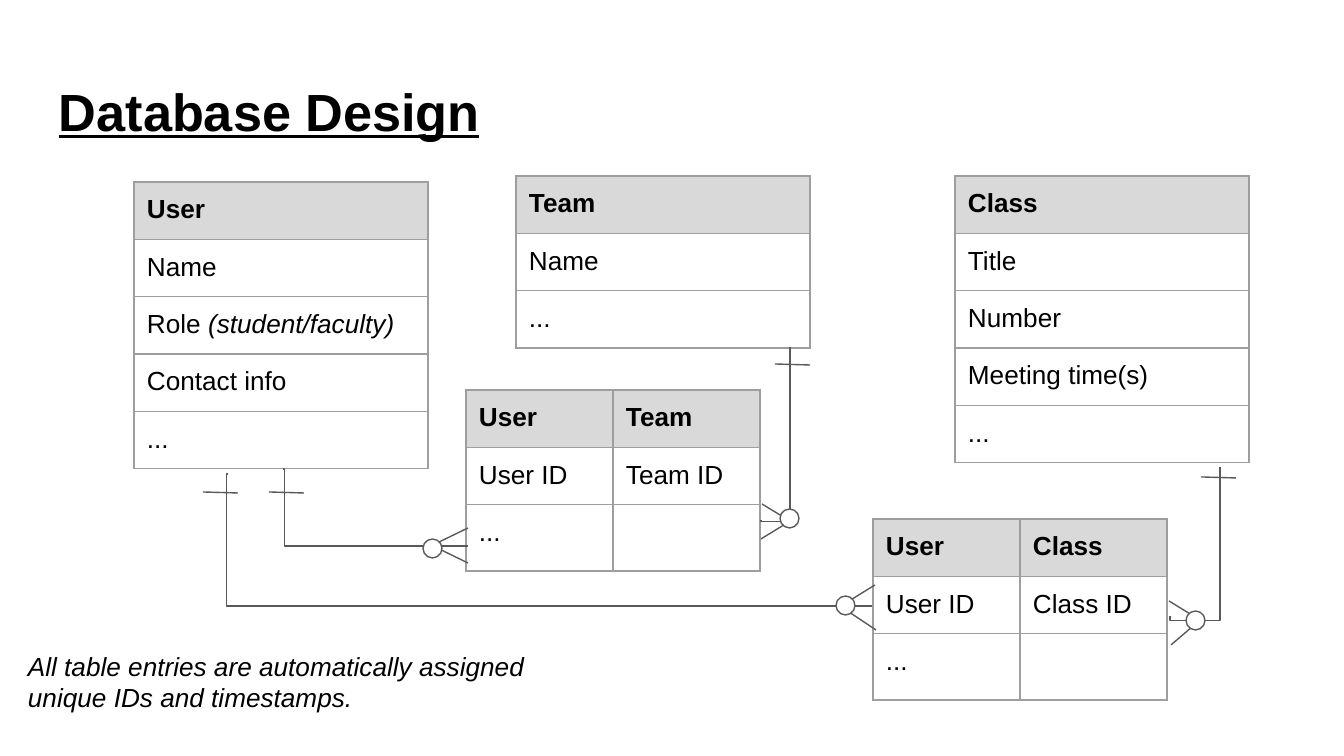
from lxml.etree import SubElement
from pptx import Presentation
from pptx.dml.color import RGBColor
from pptx.enum.shapes import MSO_CONNECTOR, MSO_SHAPE
from pptx.oxml.ns import qn
from pptx.util import Pt

SCALE = 914400 / 134.4
TABLE_WIDTH, ROW_HEIGHT, INSET = 294, 56, 13
TICK_WIDTH, RING_SIZE = 35, 19
BLACK, WHITE, HEADER, BORDER, LINE = "000000", "FFFFFF", "D9D9D9", "9E9E9E", "595959"

TITLE = ["Database Design"]
NOTE = ["All table entries are automatically assigned", "unique IDs and timestamps."]
ENTITIES = [
    ((134, 182), [["User"], ["Name"], [("Role ", "(student/faculty)")],
                  ["Contact info"], ["..."]]),
    ((955, 176), [["Class"], ["Title"], ["Number"], ["Meeting time(s)"], ["..."]]),
    ((516, 176), [["Team"], ["Name"], ["..."]]),
    ((466, 390), [["User", "Team"], ["User ID", "Team ID"], ["...", ""]]),
    ((873, 519), [["User", "Class"], ["User ID", "Class ID"], ["...", ""]]),
]
RELATIONS = [
    {"route": (283, 469, 468, 546), "bend": 800, "turned": False, "tick": (269, 492),
     "toes": [(431, 546, 468, 528), (433, 546, 468, 563)], "ring": (423, 539)},
    {"route": (790, 347, 761, 520), "bend": 100900, "turned": True, "tick": (775, 364),
     "toes": [(790, 521, 762, 504), (792, 520, 761, 539)], "ring": (780, 509)},
    {"route": (228, 474, 872, 606), "bend": -200, "turned": False, "tick": (203, 492),
     "toes": [(841, 606, 875, 585), (843, 608, 876, 630)], "ring": (836, 596)},
    {"route": (1220, 467, 1170, 616), "bend": 103000, "turned": True, "tick": (1201, 477),
     "toes": [(1200, 620, 1169, 601), (1199, 621, 1171, 645)], "ring": (1186, 611)},
]


def px(*lengths):
    return [round(length * SCALE) for length in lengths]


def color(value):
    return RGBColor.from_string(value)


def style(paragraph, size=14, **looks):
    for run in paragraph.runs:
        run.font.size, run.font.name = Pt(size), "Arial"
        run.font.color.rgb = color(BLACK)
        for look, value in looks.items():
            setattr(run.font, look, value)


def set_insets(holder):
    inset, = px(INSET)
    holder.margin_left = holder.margin_right = inset
    holder.margin_top = holder.margin_bottom = inset


def add_text(slide, box, lines, **looks):
    frame = slide.shapes.add_textbox(*px(*box)).text_frame
    frame.word_wrap = True
    set_insets(frame)
    frame.text = "\n".join(lines)
    for paragraph in frame.paragraphs:
        style(paragraph, **looks)


def add_borders(cell):
    properties = cell._tc.get_or_add_tcPr()
    for position, side in enumerate(("lnL", "lnR", "lnT", "lnB")):
        border = SubElement(properties, qn(f"a:{side}"), w=str(Pt(0.75)))
        fill = SubElement(border, qn("a:solidFill"))
        SubElement(fill, qn("a:srgbClr"), val=BORDER)
        properties.insert(position, border)


def add_entity(slide, corner, rows):
    columns = len(rows[0])
    table = slide.shapes.add_table(
        len(rows), columns, *px(*corner, TABLE_WIDTH, ROW_HEIGHT * len(rows))).table
    table.first_row = table.horz_banding = False
    for column in table.columns:
        column.width, = px(TABLE_WIDTH / columns)
    for r, row in enumerate(rows):
        table.rows[r].height, = px(ROW_HEIGHT)
        for c, entry in enumerate(row):
            cell = table.cell(r, c)
            set_insets(cell)
            cell.fill.solid()
            cell.fill.fore_color.rgb = color(HEADER if r == 0 else WHITE)
            add_borders(cell)
            label, remark = entry if isinstance(entry, tuple) else (entry, "")
            paragraph = cell.text_frame.paragraphs[0]
            paragraph.text = label
            if remark:
                paragraph.add_run().text = remark
            style(paragraph, bold=r == 0)
            if remark:
                paragraph.runs[1].font.italic = True


def add_line(slide, ends, kind=MSO_CONNECTOR.STRAIGHT):
    line = slide.shapes.add_connector(kind, *px(*ends))
    line.line.color.rgb, line.line.width = color(LINE), Pt(0.75)
    SubElement(line._element.spPr, qn("a:effectLst"))
    return line


def add_route(slide, ends, bend, turned):
    x1, y1, x2, y2 = ends
    if turned:
        middle_x, middle_y = (x1 + x2) / 2, (y1 + y2) / 2
        half_w, half_h = abs(y2 - y1) / 2, abs(x2 - x1) / 2
        ends = (middle_x - half_w, middle_y - half_h, middle_x + half_w, middle_y + half_h)
    properties = add_line(slide, ends, MSO_CONNECTOR.ELBOW)._element.spPr
    if turned:
        properties.find(qn("a:xfrm")).set("rot", "5400000")
    adjustments = properties.find(qn("a:prstGeom")).find(qn("a:avLst"))
    SubElement(adjustments, qn("a:gd"), name="adj1", fmla=f"val {bend}")


def add_relation(slide, relation):
    add_route(slide, relation["route"], relation["bend"], relation["turned"])
    for toe in relation["toes"]:
        add_line(slide, toe)
    x, y = relation["tick"]
    add_line(slide, (x, y, x + TICK_WIDTH, y + 1))
    ring = slide.shapes.add_shape(
        MSO_SHAPE.OVAL, *px(*relation["ring"], RING_SIZE, RING_SIZE))
    ring.shadow.inherit = False
    ring.fill.solid()
    ring.fill.fore_color.rgb = color(WHITE)
    ring.line.color.rgb, ring.line.width = color(LINE), Pt(0.75)


def main():
    """Build the database design slide."""
    deck = Presentation()
    deck.slide_width, deck.slide_height = px(1344, 756)
    slide = deck.slides.add_slide(deck.slide_layouts[6])
    add_text(slide, (46, 66, 1253, 85), TITLE, size=28, bold=True, underline=True)
    for corner, rows in ENTITIES:
        add_entity(slide, corner, rows)
    add_text(slide, (15, 637, 543, 99), NOTE, italic=True)
    for relation in RELATIONS:
        add_relation(slide, relation)
    deck.save("out.pptx")


if __name__ == "__main__":
    main()
